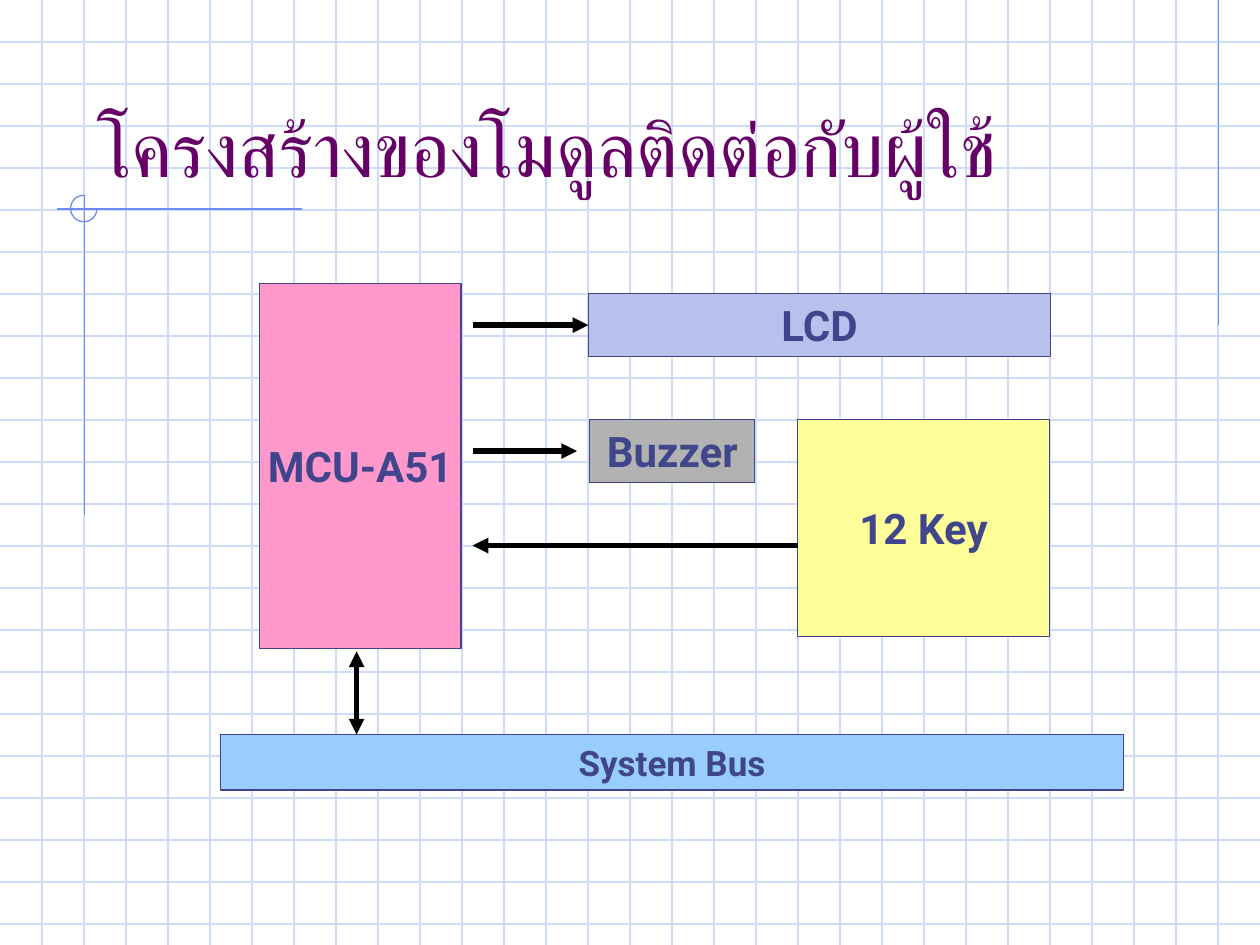
from lxml import etree
from pptx import Presentation
from pptx.dml.color import RGBColor
from pptx.enum.shapes import MSO_CONNECTOR, MSO_SHAPE
from pptx.enum.text import MSO_ANCHOR, MSO_AUTO_SIZE, PP_ALIGN
from pptx.oxml.ns import qn
from pptx.util import Inches, Pt

GRID = RGBColor(0xCF, 0xDB, 0xFD)
ACCENT = RGBColor(0x6F, 0x89, 0xF7)
TITLE = RGBColor(0x66, 0x00, 0x66)
INK = RGBColor(0x40, 0x45, 0x8C)
BLACK = RGBColor(0x00, 0x00, 0x00)
PINK = RGBColor(0xFF, 0x99, 0xCC)
SKY = RGBColor(0x99, 0xCC, 0xFF)
LAVENDER = RGBColor(0xB7, 0xC1, 0xEB)
YELLOW = RGBColor(0xFF, 0xFF, 0x99)
GREY = RGBColor(0xB2, 0xB2, 0xB2)
FONT = "Roboto"

presentation = Presentation()
presentation.slide_width = Inches(10)
presentation.slide_height = Inches(7.5)
slide = presentation.slides.add_slide(presentation.slide_layouts[5])
shapes = slide.shapes


def add_line(start_x, start_y, end_x, end_y, color, width=0.75, ends=()):
    line = shapes.add_connector(
        MSO_CONNECTOR.STRAIGHT,
        Inches(start_x), Inches(start_y), Inches(end_x), Inches(end_y),
    )
    line.line.color.rgb = color
    line.line.width = Pt(width)
    for end in ends:
        etree.SubElement(line.line._get_or_add_ln(), qn(f"a:{end}"), type="triangle")
    etree.SubElement(line._element.spPr, qn("a:effectLst"))


for row in range(1, 23):
    add_line(0, row / 3, 10, row / 3, GRID)
for column in range(1, 30):
    add_line(column / 3, 0, column / 3, 7.5, GRID)

add_line(9.67, 0, 9.67, 2.58, ACCENT)
add_line(2.4, 1.66, 0.45, 1.66, ACCENT)
add_line(0.67, 1.55, 0.67, 4.09, ACCENT)

arc = shapes.add_shape(
    MSO_SHAPE.ARC, Inches(0.56), Inches(1.55), Inches(0.21), Inches(0.21)
)
arc.adjustments[0] = 0
arc.adjustments[1] = 162
arc.shadow.inherit = False
arc.fill.background()
arc.line.color.rgb = ACCENT
arc.line.width = Pt(0.75)

title = shapes.title
shapes._spTree.append(title._element)
title.left, title.top = Inches(0.67), Inches(0.33)
title.width, title.height = Inches(8.5), Inches(1.25)
title_frame = title.text_frame
title_frame.text = "โครงสร้างของโมดูลติดต่อกับผู้ใช้"
title_frame.auto_size = MSO_AUTO_SIZE.NONE
title_frame.vertical_anchor = MSO_ANCHOR.BOTTOM
title_paragraph = title_frame.paragraphs[0]
title_paragraph.alignment = PP_ALIGN.LEFT
title_font = title_paragraph.runs[0].font
title_font.name = FONT
title_font.size = Pt(44)
title_font.color.rgb = TITLE

blocks = [
    ("MCU-A51", 2.06, 2.25, 1.6, 2.9, PINK, 24),
    ("System Bus", 1.75, 5.83, 7.17, 0.44, SKY, 20),
    ("LCD", 4.67, 2.33, 3.67, 0.5, LAVENDER, 24),
    ("12 Key", 6.33, 3.33, 2, 1.72, YELLOW, 24),
    ("Buzzer", 4.68, 3.33, 1.31, 0.5, GREY, 24),
]
for label, left, top, width, height, color, size in blocks:
    block = shapes.add_shape(
        MSO_SHAPE.RECTANGLE, Inches(left), Inches(top), Inches(width), Inches(height)
    )
    block.shadow.inherit = False
    block.fill.solid()
    block.fill.fore_color.rgb = color
    block.line.color.rgb = INK
    block.line.width = Pt(0.75)
    frame = block.text_frame
    frame.text = label
    frame.word_wrap = False
    frame.vertical_anchor = MSO_ANCHOR.MIDDLE
    paragraph = frame.paragraphs[0]
    paragraph.alignment = PP_ALIGN.CENTER
    font = paragraph.runs[0].font
    font.name = FONT
    font.size = Pt(size)
    font.bold = True
    font.color.rgb = INK

add_line(2.83, 5.83, 2.83, 5.17, BLACK, 3, ("headEnd", "tailEnd"))
add_line(6.33, 4.33, 3.75, 4.33, BLACK, 3, ("tailEnd",))
add_line(3.75, 3.58, 4.58, 3.58, BLACK, 3, ("tailEnd",))
add_line(3.75, 2.58, 4.67, 2.58, BLACK, 3, ("tailEnd",))

presentation.save("out.pptx")
